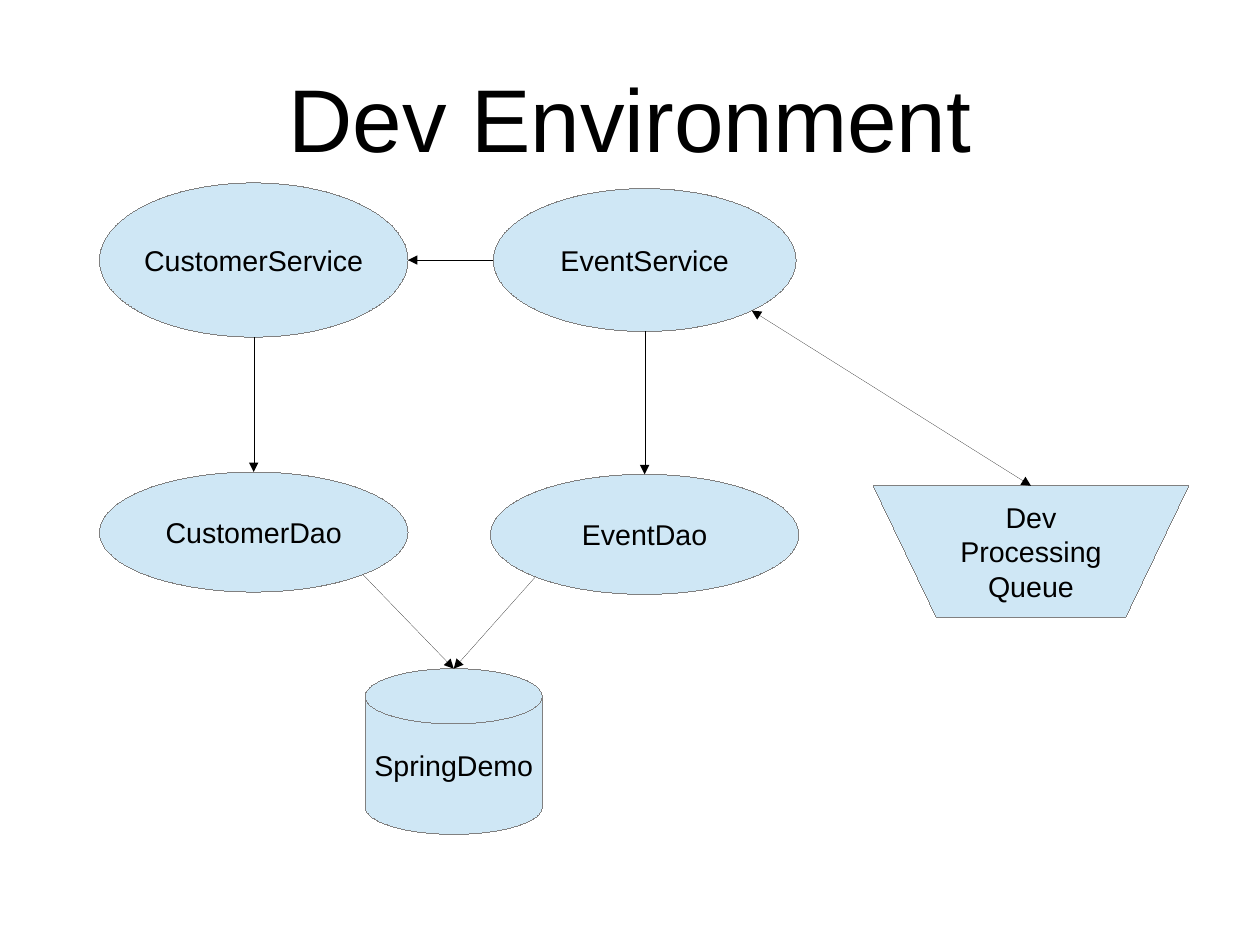
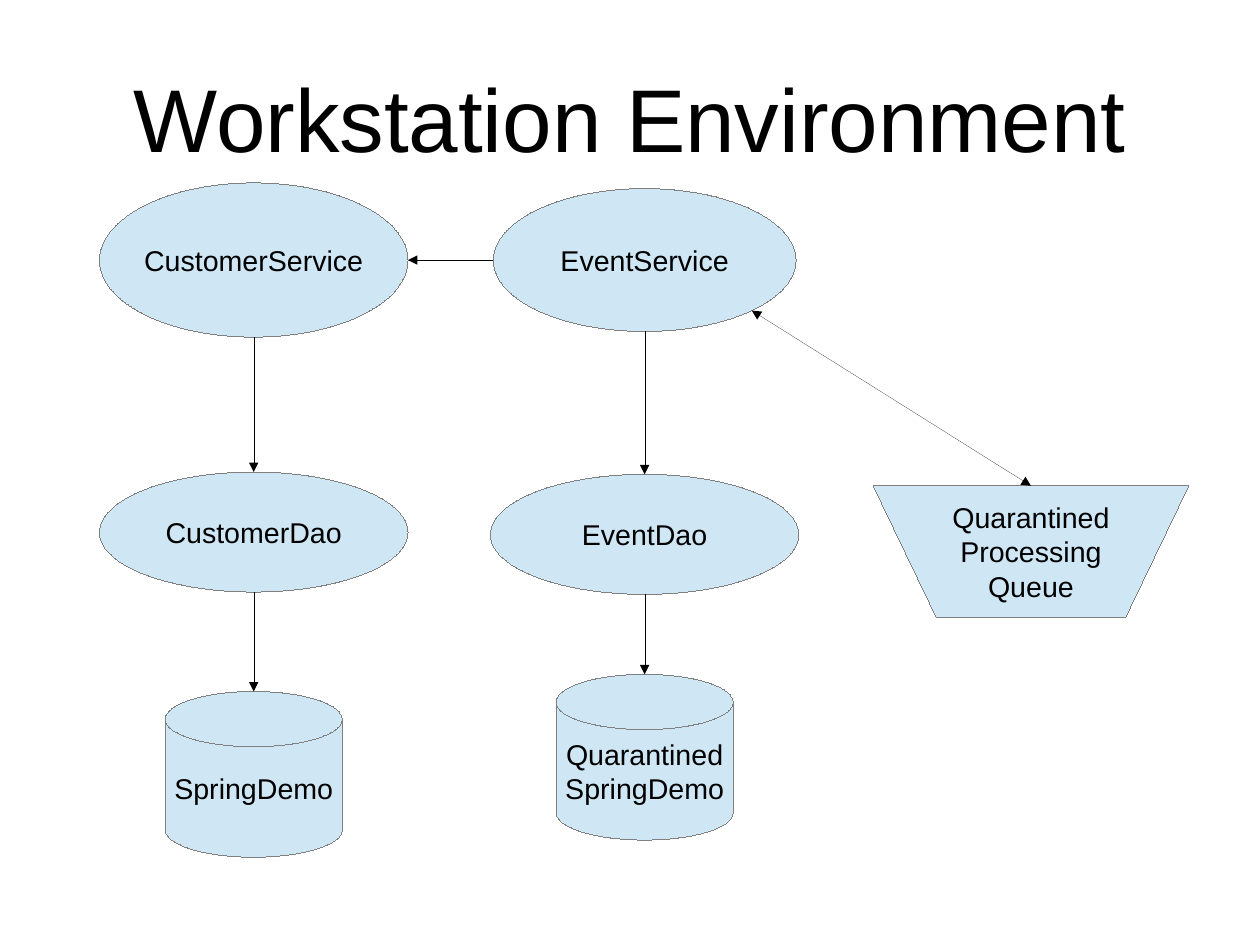
from dataclasses import dataclass
from math import sqrt

from lxml.etree import SubElement
from pptx import Presentation
from pptx.dml.color import RGBColor
from pptx.enum.shapes import MSO_CONNECTOR, MSO_SHAPE
from pptx.enum.text import MSO_ANCHOR, MSO_AUTO_SIZE, PP_ALIGN
from pptx.oxml.ns import qn
from pptx.util import Cm, Inches, Pt


@dataclass(frozen=True)
class Theme:
    font: str = "Arial"
    title_size: float = 56.1
    label_size: float = 18
    text: RGBColor = RGBColor(0, 0, 0)
    fill: RGBColor = RGBColor(0xCF, 0xE7, 0xF5)
    outline: RGBColor = RGBColor(0x80, 0x80, 0x80)


THEME = Theme()
PAGE_WIDTH, PAGE_HEIGHT = Cm(28), Cm(21)
TITLE_BOX = (0.55, 0.33, 9.92, 1.38)

# Column centres of the diagram, in inches
CUSTOMER, EVENT, QUEUE = 2.22, 5.64, 9.02
SHARED = 3.97

# Node sizes, in inches
DAO_SIZE = (2.7, 1.05)
DISK_SIZE = (1.55, 1.45)

# Points on a shape's outline, as shares of its width and height
DIAGONAL = sqrt(0.5) / 2
ANCHORS = {
    "top": (0.5, 0),
    "bottom": (0.5, 1),
    "left": (0, 0.5),
    "right": (1, 0.5),
    "lower left": (0.5 - DIAGONAL, 0.5 + DIAGONAL),
    "lower right": (0.5 + DIAGONAL, 0.5 + DIAGONAL),
}


def style_text(frame, size):
    """Centre the text both ways and set its font."""
    frame.vertical_anchor = MSO_ANCHOR.MIDDLE
    for para in frame.paragraphs:
        para.alignment = PP_ALIGN.CENTER
        para.font.name = THEME.font
        para.font.size = Pt(size)
        para.font.color.rgb = THEME.text


def style_hairline(shape, color):
    """Colour a line and write its zero width, which line.width would omit."""
    shape.line.color.rgb = color
    line = shape.line._get_or_add_ln()
    line.set("w", "0")
    return line


def add_page(deck, title):
    page = deck.slides.add_slide(deck.slide_layouts.get_by_name("Title Only"))
    box = page.shapes.title
    box.left, box.top, box.width, box.height = map(Inches, TITLE_BOX)
    frame = box.text_frame
    frame.text = title
    frame.margin_left = frame.margin_right = 0
    frame.margin_top = frame.margin_bottom = 0
    frame.auto_size = MSO_AUTO_SIZE.SHAPE_TO_FIT_TEXT
    style_text(frame, THEME.title_size)
    return page


def add_node(page, kind, label, column, top, size):
    """Add a labelled shape centred on a column."""
    width, height = size
    node = page.shapes.add_shape(
        kind, Inches(column - width / 2), Inches(top), Inches(width), Inches(height))
    node.shadow.inherit = False
    node.fill.solid()
    node.fill.fore_color.rgb = THEME.fill
    style_hairline(node, THEME.outline)
    node.text_frame.text = label
    node.text_frame.word_wrap = False
    style_text(node.text_frame, THEME.label_size)
    return node


def add_disk(page, label, column, top):
    return add_node(page, MSO_SHAPE.FLOWCHART_MAGNETIC_DISK, label, column, top, DISK_SIZE)


def anchor_point(node, anchor):
    across, down = ANCHORS[anchor]
    return round(node.left + across * node.width), round(node.top + down * node.height)


def add_arrow(page, source, start, target, end, both_ways=False):
    """Draw an arrow between anchors of two nodes."""
    arrow = page.shapes.add_connector(
        MSO_CONNECTOR.STRAIGHT,
        *anchor_point(source, start), *anchor_point(target, end))
    # Only these outlines number their top site 0; the disk does not
    if end == "top" and target.auto_shape_type != MSO_SHAPE.FLOWCHART_MAGNETIC_DISK:
        arrow.end_connect(target, 0)
    line = style_hairline(arrow, THEME.text)
    for tag in ("a:headEnd", "a:tailEnd") if both_ways else ("a:tailEnd",):
        SubElement(line, qn(tag), type="triangle")
    SubElement(arrow._element.spPr, qn("a:effectLst"))


def add_services(page, queue_label):
    """Draw the part shared by all environments; return both DAO nodes."""
    oval = MSO_SHAPE.OVAL
    customer_service = add_node(page, oval, "CustomerService", CUSTOMER, 1.6, (2.7, 1.35))
    event_service = add_node(page, oval, "EventService", EVENT, 1.65, (2.65, 1.25))
    customer_dao = add_node(page, oval, "CustomerDao", CUSTOMER, 4.13, DAO_SIZE)
    event_dao = add_node(page, oval, "EventDao", EVENT, 4.15, DAO_SIZE)
    queue = add_node(page, MSO_SHAPE.FLOWCHART_MANUAL_OPERATION,
                     queue_label, QUEUE, 4.25, (2.76, 1.15))

    add_arrow(page, event_service, "left", customer_service, "right")
    add_arrow(page, customer_service, "bottom", customer_dao, "top")
    add_arrow(page, event_service, "bottom", event_dao, "top")
    add_arrow(page, event_service, "lower right", queue, "top", both_ways=True)
    return customer_dao, event_dao


def add_dev_page(deck):
    page = add_page(deck, "Dev Environment")
    customer_dao, event_dao = add_services(page, "Dev\nProcessing\nQueue")
    database = add_disk(page, "SpringDemo", SHARED, 5.85)
    add_arrow(page, customer_dao, "lower right", database, "top")
    add_arrow(page, event_dao, "lower left", database, "top")


def add_workstation_page(deck):
    page = add_page(deck, "Workstation Environment")
    customer_dao, event_dao = add_services(page, "Quarantined\nProcessing\nQueue")
    database = add_disk(page, "SpringDemo", CUSTOMER, 6.05)
    quarantined = add_disk(page, "Quarantined\nSpringDemo", EVENT, 5.9)
    add_arrow(page, customer_dao, "bottom", database, "top")
    add_arrow(page, event_dao, "bottom", quarantined, "top")


def main():
    deck = Presentation()
    deck.slide_width, deck.slide_height = PAGE_WIDTH, PAGE_HEIGHT
    add_dev_page(deck)
    add_workstation_page(deck)
    deck.save("out.pptx")


if __name__ == "__main__":
    main()
